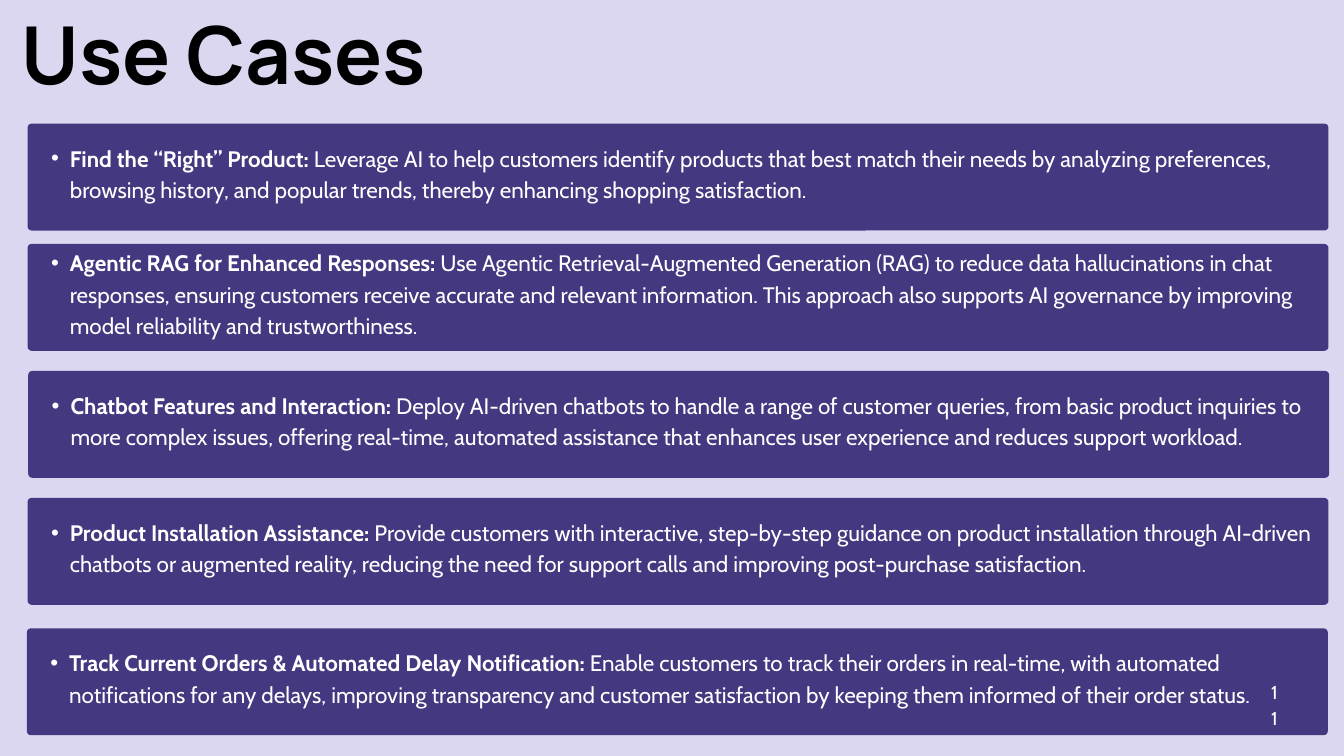
from dataclasses import dataclass

from lxml.etree import SubElement
from pptx import Presentation
from pptx.dml.color import RGBColor
from pptx.enum.shapes import MSO_SHAPE
from pptx.enum.text import MSO_ANCHOR, PP_ALIGN
from pptx.oxml.ns import qn
from pptx.util import Inches, Pt


@dataclass(frozen=True)
class Theme:
    background: RGBColor = RGBColor.from_string("DCD7F1")
    card: RGBColor = RGBColor.from_string("443880")
    dark: RGBColor = RGBColor.from_string("000000")
    light: RGBColor = RGBColor.from_string("FFFFFF")
    heading_font: str = "Manrope"
    body_font: str = "Cabin"
    heading_size: float = 85.6
    body_size: float = 24
    number_size: float = 20


THEME = Theme()
CARD_WIDTH, CARD_HEIGHT = 19.36, 1.59
CORNER = 0.06
TEXT_RISE = 0.16

USE_CASES = [
    (0.41, 1.84, "Find the “Right” Product: ",
     "Leverage AI to help customers identify products that best match their needs by "
     "analyzing preferences, browsing history, and popular trends, thereby enhancing "
     "shopping satisfaction."),
    (0.41, 3.63, "Agentic RAG for Enhanced Responses: ",
     "Use Agentic Retrieval-Augmented Generation (RAG) to reduce data hallucinations in "
     "chat responses, ensuring customers receive accurate and relevant information. This "
     "approach also supports AI governance by improving model reliability and "
     "trustworthiness."),
    (0.42, 5.52, "Chatbot Features and Interaction: ",
     "Deploy AI-driven chatbots to handle a range of customer queries, from basic product "
     "inquiries to more complex issues, offering real-time, automated assistance that "
     "enhances user experience and reduces support workload."),
    (0.41, 7.41, "Product Installation Assistance: ",
     "Provide customers with interactive, step-by-step guidance on product installation "
     "through AI-driven chatbots or augmented reality, reducing the need for support calls "
     "and improving post-purchase satisfaction."),
    (0.4, 9.35, "Track Current Orders & Automated Delay Notification: ",
     "Enable customers to track their orders in real-time, with automated notifications for "
     "any delays, improving transparency and customer satisfaction by keeping them informed "
     "of their order status."),
]


def apply(target, values):
    for attribute, value in values.items():
        setattr(target, attribute, value)


def add_text_frame(slide, box, inset=0, anchor=MSO_ANCHOR.TOP):
    frame = slide.shapes.add_textbox(*map(Inches, box)).text_frame
    sides = ("left", "top", "right", "bottom")
    apply(frame, {"word_wrap": True, "vertical_anchor": anchor,
                  **{f"margin_{side}": Inches(inset) for side in sides}})
    return frame


def add_run(paragraph, wording, font, size, color, bold=False):
    run = paragraph.add_run()
    run.text = wording
    apply(run.font, {"name": font, "size": Pt(size), "bold": bold})
    run.font.color.rgb = color


def add_title(slide, box):
    title = add_text_frame(slide, box).paragraphs[0]
    title.line_spacing = Pt(90.8)
    add_run(title, "Use Cases", THEME.heading_font, THEME.heading_size, THEME.dark, True)


def add_bullet(paragraph, indent, hanging):
    properties = paragraph._p.get_or_add_pPr()
    properties.set("marL", str(Inches(indent)))
    properties.set("indent", str(-Inches(hanging)))
    SubElement(properties, qn("a:buFont"), typeface="Arial")
    SubElement(properties, qn("a:buChar"), char="•")


def add_use_case(slide, box, name, description):
    left, top, width, height = box
    card = slide.shapes.add_shape(MSO_SHAPE.ROUNDED_RECTANGLE, *map(Inches, box))
    card.adjustments[0] = CORNER / height
    card.shadow.inherit = False
    card.fill.solid()
    card.fill.fore_color.rgb = THEME.card
    card.line.fill.background()

    text_box = (left, top - TEXT_RISE, width, height + TEXT_RISE)
    use_case = add_text_frame(slide, text_box, 0.06, MSO_ANCHOR.MIDDLE).paragraphs[0]
    add_bullet(use_case, 0.57, 0.28)
    use_case.line_spacing = Pt(33.6)
    for wording, bold in ((name, True), (description, False)):
        add_run(use_case, wording, THEME.body_font, THEME.body_size, THEME.light, bold)


def add_page_number(slide, box):
    number = add_text_frame(slide, box).paragraphs[0]
    apply(number, {"alignment": PP_ALIGN.CENTER, "line_spacing": Pt(28)})
    add_run(number, "11", THEME.body_font, THEME.number_size, THEME.light)


def main():
    deck = Presentation()
    apply(deck, {"slide_width": Inches(20), "slide_height": Inches(11.25)})
    slide = deck.slides.add_slide(deck.slide_layouts[6])
    slide.background.fill.solid()
    slide.background.fill.fore_color.rgb = THEME.background

    add_title(slide, (0.32, 0.23, 10.59, 1.4))
    for left, top, name, description in USE_CASES:
        add_use_case(slide, (left, top, CARD_WIDTH, CARD_HEIGHT), name, description)
    add_page_number(slide, (18.88, 10.07, 0.17, 0.22))
    deck.save("out.pptx")


if __name__ == "__main__":
    main()
